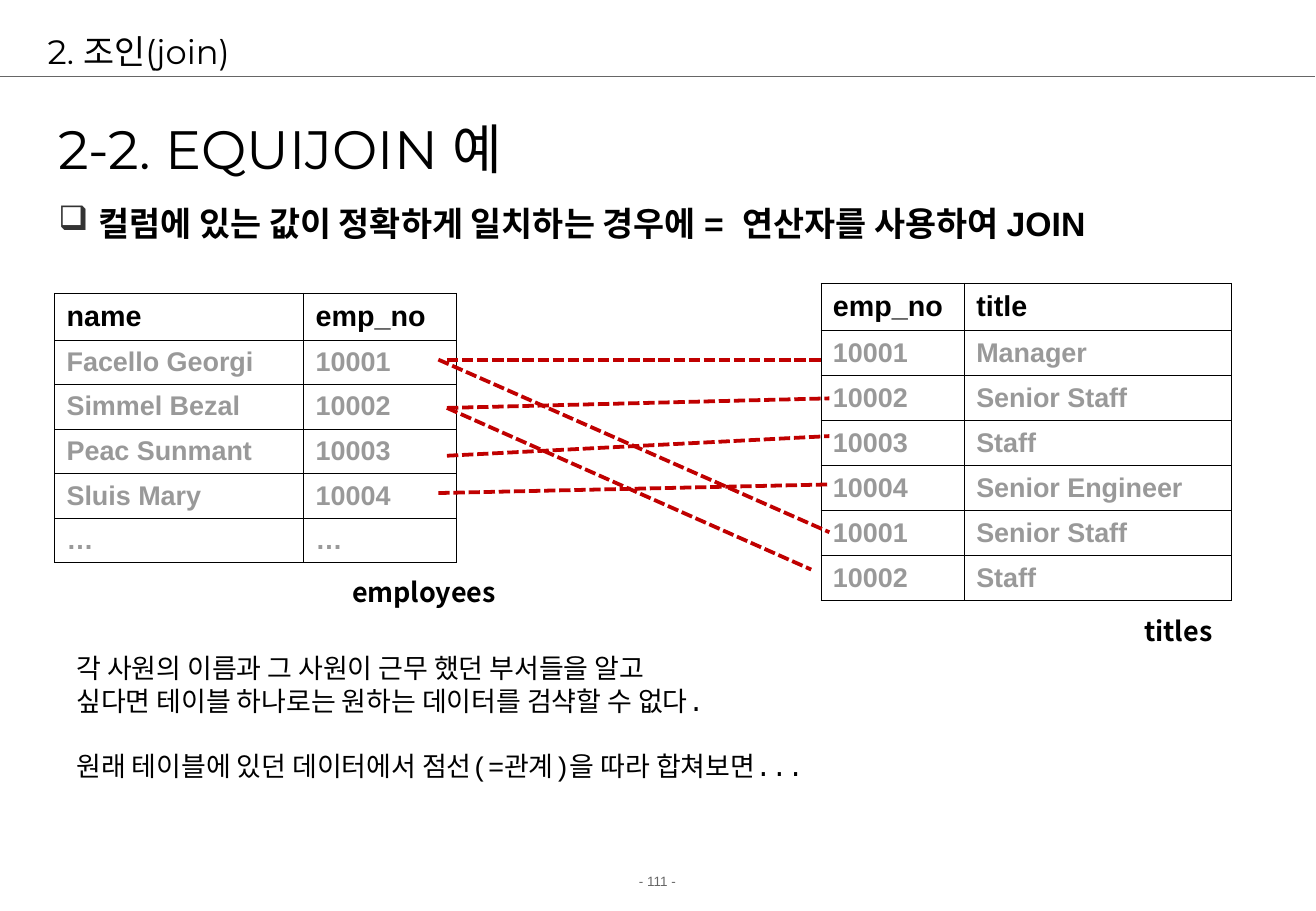
from dataclasses import dataclass

from lxml.etree import SubElement
from pptx import Presentation
from pptx.dml.color import RGBColor
from pptx.enum.dml import MSO_LINE
from pptx.enum.shapes import MSO_CONNECTOR
from pptx.enum.text import MSO_ANCHOR, MSO_AUTO_SIZE, PP_ALIGN
from pptx.oxml.ns import qn
from pptx.util import Cm, Pt


@dataclass(frozen=True)
class Theme:
    ink: str = "000000"
    faded: str = "999999"
    gray: str = "666666"
    mark: str = "333333"
    red: str = "C00000"
    sans: str = "Arial"
    thin: str = "Montserrat"
    mono: str = "Courier New"
    hangul: str = "Noto Sans CJK KR"
    tiny: int = 8
    body: int = 16
    header: int = 17
    lead: int = 20
    large: int = 32
    border: float = 0.34
    rule: float = 0.74
    dash: float = 2.24


def write(par, text, font, size, color, bold=False, align=PP_ALIGN.LEFT,
          before=0, hangul=Theme.hangul):
    par.alignment = align
    par.space_before = Pt(before)
    run = par.add_run()
    run.text = text
    run.font.name = font
    run.font.size = Pt(size)
    run.font.bold = bold
    run.font.color.rgb = RGBColor.from_string(color)
    SubElement(run.font._element, qn("a:ea"), typeface=hangul)


class Board:
    def __init__(self, slide, theme):
        self.slide = slide
        self.theme = theme

    def title(self, text, left, top, width, height):
        shape = self.slide.shapes.title
        shape.left, shape.top = Cm(left), Cm(top)
        shape.width, shape.height = Cm(width), Cm(height)
        frame = shape.text_frame
        frame.auto_size = MSO_AUTO_SIZE.NONE
        frame.vertical_anchor = MSO_ANCHOR.MIDDLE
        write(frame.paragraphs[0], text, self.theme.thin, self.theme.lead,
              self.theme.ink)

    def text(self, lines, left, top, width, height, anchor=MSO_ANCHOR.TOP,
             gaps=(), **style):
        box = self.slide.shapes.add_textbox(Cm(left), Cm(top), Cm(width), Cm(height))
        frame = box.text_frame
        frame.word_wrap = True
        frame.vertical_anchor = anchor
        look = dict(font=self.theme.sans, size=self.theme.body, color=self.theme.ink)
        look.update(style)
        for index, line in enumerate(lines):
            par = frame.add_paragraph() if index else frame.paragraphs[0]
            if index < len(gaps):
                look["before"] = gaps[index]
            write(par, line, **look)
        return frame

    def bullet(self, text, left, top, width, height, indent, sign):
        frame = self.text([text], left, top, width, height, size=self.theme.lead,
                          bold=True, before=6.2)
        props = frame.paragraphs[0]._p.get_or_add_pPr()
        props.set("marL", str(Cm(indent)))
        props.set("indent", str(-Cm(indent)))
        tint = SubElement(props, qn("a:buClr"))
        SubElement(tint, qn("a:srgbClr"), val=self.theme.mark)
        SubElement(props, qn("a:buChar"), char=sign)

    def line(self, start, end, color, weight, dash=None):
        points = [Cm(value) for value in (*start, *end)]
        link = self.slide.shapes.add_connector(MSO_CONNECTOR.STRAIGHT, *points)
        link.line.color.rgb = RGBColor.from_string(color)
        link.line.width = Pt(weight)
        if dash:
            link.line.dash_style = dash
        SubElement(link._element.spPr, qn("a:effectLst"))

    def frame(self, cell):
        props = cell._tc.get_or_add_tcPr()
        for side in ("lnL", "lnR", "lnT", "lnB"):
            edge = SubElement(props, qn(f"a:{side}"), w=str(Pt(self.theme.border)))
            fill = SubElement(edge, qn("a:solidFill"))
            SubElement(fill, qn("a:srgbClr"), val=self.theme.ink)
        cell.fill.background()

    def table(self, data, left, top, widths, head, row):
        height = head + row * (len(data) - 1)
        grid = self.slide.shapes.add_table(
            len(data), len(widths), Cm(left), Cm(top), Cm(sum(widths)), Cm(height)
        ).table
        grid.first_row = grid.horz_banding = False
        for column, width in zip(grid.columns, widths):
            column.width = Cm(width)
        for index, values in enumerate(data):
            grid.rows[index].height = Cm(row if index else head)
            size = self.theme.body if index else self.theme.header
            color = self.theme.faded if index else self.theme.ink
            for place, value in enumerate(values):
                cell = grid.cell(index, place)
                cell.vertical_anchor = MSO_ANCHOR.MIDDLE
                write(cell.text_frame.paragraphs[0], value, self.theme.sans,
                      size, color, bold=True)
                self.frame(cell)


STAFF = [
    ("name", "emp_no"),
    ("Facello Georgi", "10001"),
    ("Simmel Bezal", "10002"),
    ("Peac Sunmant", "10003"),
    ("Sluis Mary", "10004"),
    ("…", "…"),
]
TITLES = [
    ("emp_no", "title"),
    ("10001", "Manager"),
    ("10002", "Senior Staff"),
    ("10003", "Staff"),
    ("10004", "Senior Engineer"),
    ("10001", "Senior Staff"),
    ("10002", "Staff"),
]
LINKS = [
    ((9.35, 7.52), (17.17, 7.52)),
    ((9.17, 7.52), (17.35, 11.13)),
    ((9.35, 8.53), (17.35, 8.33)),
    ((9.35, 8.53), (16.97, 11.91)),
    ((9.35, 9.53), (17.35, 9.12)),
    ((9.17, 10.31), (17.35, 10.13)),
]
NOTES = [
    "각 사원의 이름과 그 사원이 근무 했던 부서들을 알고",
    "싶다면 테이블 하나로는 원하는 데이터를 검샥할 수 없다.",
    "원래 테이블에 있던 데이터에서 점선(=관계)을 따라 합쳐보면...",
]

deck = Presentation()
deck.slide_width, deck.slide_height = Cm(27.53), Cm(19.05)
theme = Theme()
board = Board(deck.slides.add_slide(deck.slide_layouts[5]), theme)

board.text(["- 111 -"], 0, 18.14, 27.51, 0.61, size=theme.tiny,
           color=theme.gray, align=PP_ALIGN.CENTER, before=5)
board.line((0, 1.6), (27.51, 1.6), theme.gray, theme.rule)
board.title("2. 조인(join)", 0.74, 0.53, 25.83, 1.07)
board.text(["2-2. EQUIJOIN 예"], 0.97, 1.93, 21.59, 2.34,
           anchor=MSO_ANCHOR.MIDDLE, font=theme.thin, size=theme.large)
board.bullet("컬럼에 있는 값이 정확하게 일치하는 경우에 =  연산자를 사용하여 JOIN",
             0.97, 4.11, 26.21, 1.6, 0.84, "❑")
board.table(STAFF, 1.14, 6.13, (5.21, 3.2), 0.97, 0.93)
board.table(TITLES, 17.17, 5.92, (3, 5.59), 0.99, 0.94)
for start, end in LINKS:
    board.line(start, end, theme.red, theme.dash, MSO_LINE.SQUARE_DOT)
board.text(NOTES, 1.35, 13.51, 17.3, 3.66, font=theme.mono, gaps=(0, 0, 19.5))
for name, left, top in (("employees", 6.62, 11.91), ("titles", 22.4, 12.73)):
    board.text([name], left, top, 4.5, 0.94, font=theme.hangul, bold=True,
               align=PP_ALIGN.CENTER)

deck.save("out.pptx")
